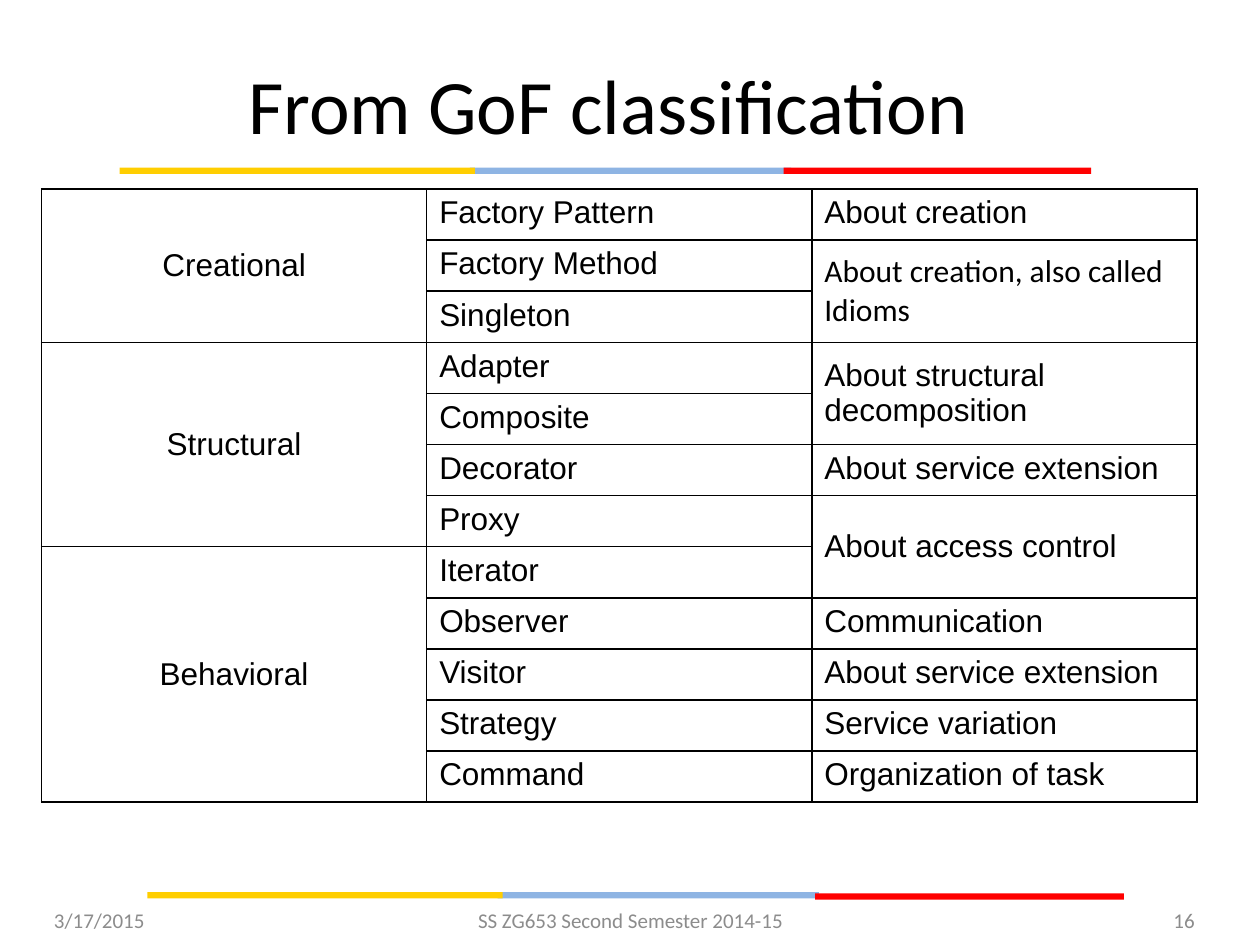
from dataclasses import dataclass

from lxml import etree
from pptx import Presentation
from pptx import util as u
from pptx.dml.color import RGBColor
from pptx.enum import shapes, text
from pptx.oxml import ns


@dataclass(frozen=True)
class Theme:
    """Colours, fonts and type sizes of the slide."""
    ink: str = "000000"
    muted: str = "8C8C8C"
    yellow: str = "FFCE00"
    blue: str = "8EB4E3"
    red: str = "FF0000"
    heading_font: str = "Calibri"
    table_font: str = "Arial"
    title_size: int = 44
    table_size: int = 18
    footer_size: int = 12
    border: float = 1


THEME = Theme()
LEFT, MIDDLE, RIGHT = text.PP_ALIGN.LEFT, text.PP_ALIGN.CENTER, text.PP_ALIGN.RIGHT

CATEGORIES = [("Creational", 3), ("Structural", 4), ("Behavioral", 5)]
PATTERNS = [(name, 1) for name in (
    "Factory Pattern", "Factory Method", "Singleton", "Adapter", "Composite", "Decorator",
    "Proxy", "Iterator", "Observer", "Visitor", "Strategy", "Command")]
IDIOMS = "About creation, also called Idioms"
PURPOSES = [
    ("About creation", 1), (IDIOMS, 2), ("About structural decomposition", 2),
    ("About service extension", 1), ("About access control", 2), ("Communication", 1),
    ("About service extension", 1), ("Service variation", 1), ("Organization of task", 1)]


def style_paragraph(paragraph, font_name, size, color, align):
    """Set the font and alignment of a paragraph."""
    paragraph.alignment = align
    paragraph.font.name = font_name
    paragraph.font.size = u.Pt(size)
    paragraph.font.color.rgb = RGBColor.from_string(color)


def add_label(slide, wording, place, size, color, align):
    """Add a vertically centred line of text."""
    frame = slide.shapes.add_textbox(*map(u.Inches, place)).text_frame
    frame.word_wrap = True
    frame.vertical_anchor = text.MSO_ANCHOR.MIDDLE
    frame.text = wording
    style_paragraph(frame.paragraphs[0], THEME.heading_font, size, color, align)


def add_stripe(slide, segments):
    """Add a three-coloured rule from (left, top, width, colour) segments."""
    for left, top, width, color in segments:
        bar = slide.shapes.add_shape(
            shapes.MSO_SHAPE.RECTANGLE, *map(u.Inches, (left, top, width, 0.05)))
        bar.shadow.inherit = False
        bar.fill.solid()
        bar.fill.fore_color.rgb = RGBColor.from_string(color)
        bar.line.fill.background()


def draw_borders(cell):
    """Draw all four borders of a cell and clear its fill."""
    properties = cell._tc.get_or_add_tcPr()
    for side in ("a:lnL", "a:lnR", "a:lnT", "a:lnB"):
        line = etree.SubElement(properties, ns.qn(side), w=str(u.Pt(THEME.border)))
        fill = etree.SubElement(line, ns.qn("a:solidFill"))
        etree.SubElement(fill, ns.qn("a:srgbClr"), val=THEME.ink)
    cell.fill.background()


def fill_column(table, column, entries, align):
    """Write (wording, row span) entries down one column."""
    row = 0
    for wording, span in entries:
        cell = table.cell(row, column)
        if span > 1:
            cell.merge(table.cell(row + span - 1, column))
            cell.vertical_anchor = text.MSO_ANCHOR.MIDDLE
        cell.text = wording
        font_name = THEME.heading_font if wording == IDIOMS else THEME.table_font
        style_paragraph(cell.text_frame.paragraphs[0], font_name,
                        THEME.table_size, THEME.ink, align)
        row += span


def add_pattern_table(slide):
    """Add the table of pattern categories, patterns and purposes."""
    table = slide.shapes.add_table(
        len(PATTERNS), 3, *map(u.Inches, (0.33, 1.5, 9.17, 4.87))).table
    table.first_row = table.horz_banding = False
    for cell in table.iter_cells():
        draw_borders(cell)
    fill_column(table, 0, CATEGORIES, MIDDLE)
    fill_column(table, 1, PATTERNS, LEFT)
    fill_column(table, 2, PURPOSES, LEFT)


def main():
    """Build and save the slide."""
    deck = Presentation()
    deck.slide_width, deck.slide_height = u.Inches(10), u.Inches(7.5)
    slide = deck.slides.add_slide(deck.slide_layouts[6])
    add_stripe(slide, [(3.73, 1.33, 2.55, THEME.blue), (6.22, 1.33, 2.44, THEME.red),
                       (0.95, 1.33, 2.82, THEME.yellow)])
    add_stripe(slide, [(3.95, 7.08, 2.55, THEME.blue), (6.47, 7.09, 2.45, THEME.red),
                       (1.17, 7.08, 2.82, THEME.yellow)])
    add_label(slide, "From GoF classification", (0.33, 0.31, 9, 1.03),
              THEME.title_size, THEME.ink, MIDDLE)
    add_pattern_table(slide)
    for wording, left, width, align in (
            ("3/17/2015", 0.33, 2.33, LEFT),
            ("SS ZG653 Second Semester 2014-15", 3.42, 3.17, MIDDLE),
            ("16", 7.25, 2.33, RIGHT)):
        add_label(slide, wording, (left, 7.1, width, 0.4),
                  THEME.footer_size, THEME.muted, align)
    deck.save("out.pptx")


if __name__ == "__main__":
    main()
